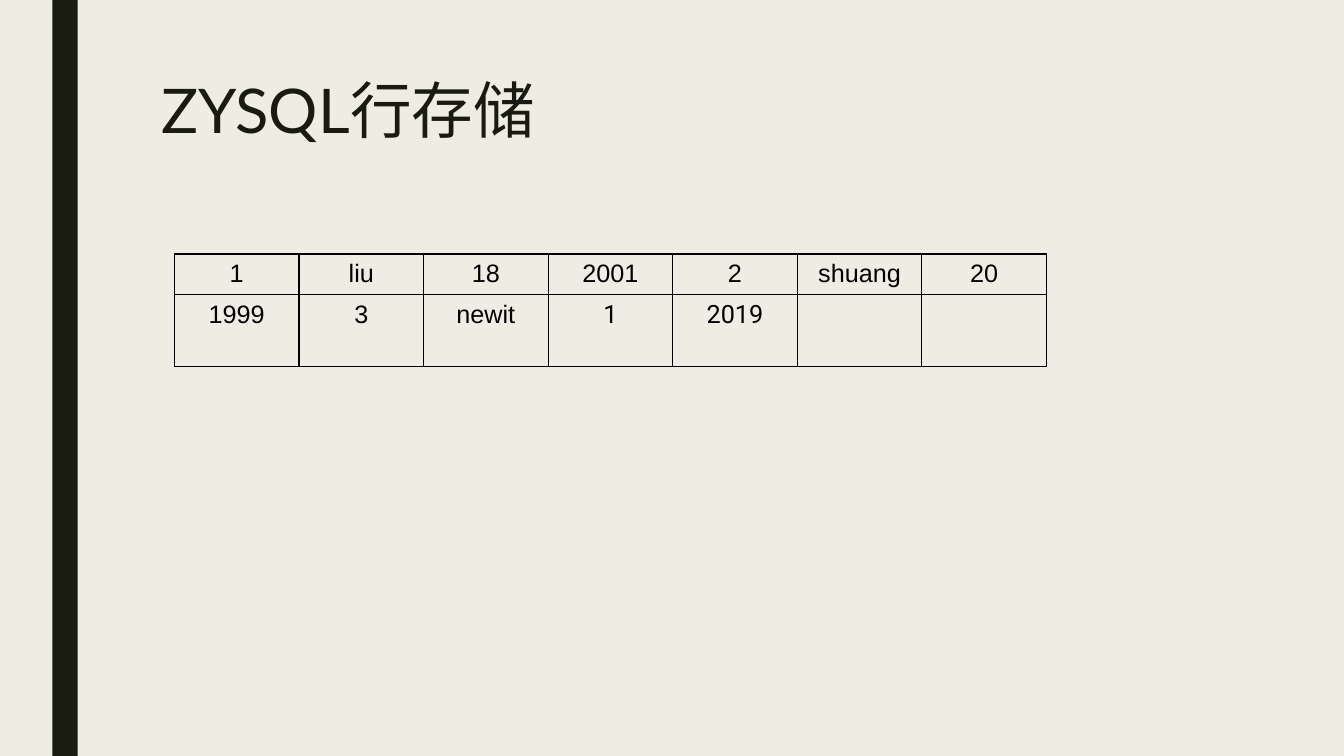
from lxml import etree
from pptx import Presentation
from pptx import util as u
from pptx.dml.color import RGBColor
from pptx.enum import shapes, text
from pptx.oxml.ns import qn

PAPER = RGBColor(0xEF, 0xED, 0xE3)
INK = RGBColor(0x19, 0x1B, 0x0E)
BLACK = RGBColor(0, 0, 0)

# Each row lists (value, font, followed by a line break)
ROWS = [
    [(v, "Arial", False) for v in ("1", "liu", "18", "2001", "2", "shuang", "20")],
    [(v, "Arial", False) for v in ("1999", "3", "newit")]
    + [(v, "Roboto", True) for v in ("1", "2019")],
]
ROW_HEIGHTS = (0.39, 0.7)


def add_run(p, value, font, size, color):
    r = p.add_run()
    r.text = value
    r.font.name = font
    r.font.size = u.Pt(size)
    r.font.color.rgb = color


def add_side_bar(s, left, top, width, height):
    sp = s.shapes.add_shape(shapes.MSO_SHAPE.RECTANGLE, u.Inches(left), u.Inches(top),
                            u.Inches(width), u.Inches(height))
    sp.shadow.inherit = False
    sp.fill.solid()
    sp.fill.fore_color.rgb = INK
    sp.line.fill.background()


def fill_title(s, left, top, width, height):
    sp = s.shapes.title
    sp.left, sp.top = u.Inches(left), u.Inches(top)
    sp.width, sp.height = u.Inches(width), u.Inches(height)
    tf = sp.text_frame
    tf.word_wrap = True
    tf.auto_size = text.MSO_AUTO_SIZE.NONE
    tf.vertical_anchor = text.MSO_ANCHOR.TOP
    p = tf.paragraphs[0]
    p.alignment = text.PP_ALIGN.LEFT
    p.line_spacing = 0.89
    add_run(p, "ZYSQL行存储", "Lato", 44, INK)


def format_cell(cell):
    """Give the cell thin black borders, no fill and even margins."""
    tc_pr = cell._tc.get_or_add_tcPr()
    for side in ("lnL", "lnR", "lnT", "lnB"):
        ln = etree.SubElement(tc_pr, qn(f"a:{side}"), w=str(u.Pt(1)))
        fill = etree.SubElement(ln, qn("a:solidFill"))
        etree.SubElement(fill, qn("a:srgbClr"), val=str(BLACK))
    cell.fill.background()
    cell.margin_left = cell.margin_right = u.Inches(0.06)
    cell.margin_top = cell.margin_bottom = u.Inches(0.06)


def add_row_table(s, left, top, width, height):
    columns = len(ROWS[0])
    table = s.shapes.add_table(len(ROWS), columns, u.Inches(left), u.Inches(top),
                               u.Inches(width), u.Inches(height)).table
    table.first_row = table.horz_banding = False
    for column in table.columns:
        column.width = u.Inches(width / columns)
    for row, row_height in zip(table.rows, ROW_HEIGHTS):
        row.height = u.Inches(row_height)
        for cell in row.cells:
            format_cell(cell)
    for i, values in enumerate(ROWS):
        for j, (value, font, has_break) in enumerate(values):
            p = table.cell(i, j).text_frame.paragraphs[0]
            p.alignment = text.PP_ALIGN.CENTER
            add_run(p, value, font, 18, BLACK)
            if has_break:
                p.add_line_break()


def main():
    prs = Presentation()
    prs.slide_width, prs.slide_height = u.Inches(13.33), u.Inches(7.5)
    s = prs.slides.add_slide(prs.slide_layouts[5])
    s.background.fill.solid()
    s.background.fill.fore_color.rgb = PAPER
    add_side_bar(s, 0.52, 0, 0.25, 7.5)
    fill_title(s, 1.5, 0.75, 10.5, 1.62)
    add_row_table(s, 1.73, 2.52, 8.65, sum(ROW_HEIGHTS))
    prs.save("out.pptx")


if __name__ == "__main__":
    main()
